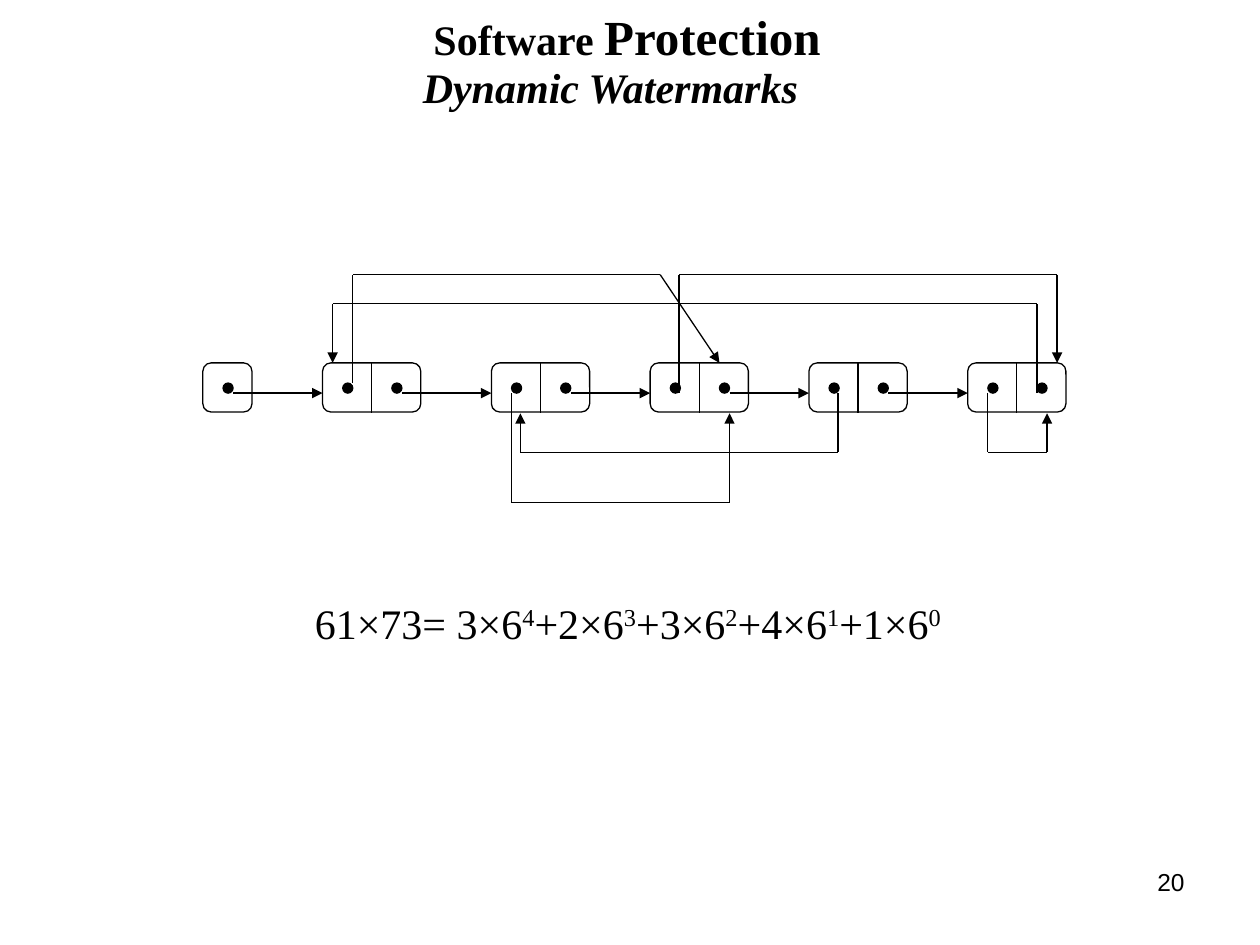
from dataclasses import dataclass
from itertools import pairwise

from lxml import etree
from pptx import Presentation
from pptx.dml.color import RGBColor
from pptx.enum.shapes import MSO_CONNECTOR, MSO_SHAPE
from pptx.enum.text import PP_ALIGN
from pptx.oxml.ns import qn
from pptx.util import Inches, Pt

STRAIGHT = MSO_CONNECTOR.STRAIGHT
ROUNDED = MSO_SHAPE.ROUNDED_RECTANGLE
OVAL = MSO_SHAPE.OVAL
LEFT, CENTER, RIGHT = PP_ALIGN.LEFT, PP_ALIGN.CENTER, PP_ALIGN.RIGHT

BLACK = "000000"
SERIF = "Times New Roman"
CELL = 0.39
DOT = 0.08
DOT_INSET = 0.16
NODE_TOP = 2.88
NODE_BOTTOM = 3.28
LINK_Y = 3.12
HEAD_LEFT = 1.61
NODE_LEFTS = [2.56] + [3.9 + 1.26 * step for step in range(4)]


@dataclass(frozen=True)
class Span:
    """A stretch of text with one format."""

    text: str
    size: float = 24
    font: str = SERIF
    bold: bool | None = None
    italic: bool | None = None
    raised: bool = False


@dataclass(frozen=True)
class Label:
    """A one-paragraph text box."""

    left: float
    top: float
    width: float
    height: float
    align: PP_ALIGN
    spans: tuple[Span, ...]
    space_before: float = 0


@dataclass(frozen=True)
class Route:
    """A chain of straight lines that ends in an arrowhead."""

    points: tuple[tuple[float, float], ...]


POWERS = [("61×73= 3×6", "4"), ("+2×6", "3"), ("+3×6", "2"), ("+4×6", "1"), ("+1×6", "0")]
FORMULA = tuple(
    span for base, power in POWERS for span in (Span(base), Span(power, raised=True))
)

LABELS = [
    Label(7.17, 6.83, 2.33, 0.52, RIGHT, (Span("20", 14, "Arial"),)),
    Label(2.56, 0, 4.75, 0.57, CENTER,
          (Span(" Software ", bold=True), Span("Protection", 28, bold=True)), 17.5),
    Label(3.03, 0.44, 3.63, 0.5, CENTER,
          (Span("Dynamic Watermarks", bold=True, italic=True),), 15),
    Label(2.4, 4.69, 6.14, 0.5, LEFT, FORMULA, 15),
]

POINTERS = [
    Route(((8.23, LINK_Y), (8.23, 2.41), (2.64, 2.41), (2.64, NODE_TOP))),
    Route(((7.84, LINK_Y), (7.84, 3.59), (8.31, 3.59), (8.31, NODE_BOTTOM))),
    Route(((6.65, LINK_Y), (6.65, 3.59), (4.13, 3.59), (4.13, NODE_BOTTOM))),
    Route(((5.39, LINK_Y), (5.39, 2.18), (8.39, 2.18), (8.39, NODE_TOP))),
    Route(((4.06, LINK_Y), (4.06, 3.99), (5.79, 3.99), (5.79, NODE_BOTTOM))),
    Route(((2.8, 3.04), (2.8, 2.18), (5.24, 2.18), (5.71, NODE_TOP))),
]


def color(value: str) -> RGBColor:
    """Turn a hex string into a colour."""
    return RGBColor.from_string(value)


def add_label(page, label: Label) -> None:
    """Add a text box run by run."""
    box = page.shapes.add_textbox(
        Inches(label.left), Inches(label.top), Inches(label.width), Inches(label.height)
    )
    box.text_frame.word_wrap = True
    para = box.text_frame.paragraphs[0]
    para.alignment = label.align
    para.space_before = Pt(label.space_before)
    for span in label.spans:
        run = para.add_run()
        run.text = span.text
        run.font.name = span.font
        run.font.size = Pt(span.size)
        run.font.bold = span.bold
        run.font.italic = span.italic
        run.font.color.rgb = color(BLACK)
        if span.raised:
            run.font._element.set("baseline", "30000")


def add_outline(page, kind: MSO_SHAPE, left: float, top: float, width: float, height: float):
    """Add an unfilled shape with a thin black line."""
    shape = page.shapes.add_shape(
        kind, Inches(left), Inches(top), Inches(width), Inches(height)
    )
    shape.shadow.inherit = False
    shape.fill.background()
    shape.line.color.rgb = color(BLACK)
    shape.line.width = Pt(0.75)
    return shape


def add_dot(page, left: float) -> None:
    """Add the black dot of one cell."""
    dot = add_outline(page, OVAL, left + DOT_INSET, 3.04, DOT, DOT)
    dot.fill.solid()
    dot.fill.fore_color.rgb = color(BLACK)


def add_node(page, left: float, cells: int) -> None:
    """Add a rounded node with a dot in each cell and dividers between cells."""
    frame = add_outline(page, ROUNDED, left, NODE_TOP, CELL * cells, CELL)
    frame.adjustments[0] = 0.17
    for cell in range(cells):
        cell_left = left + CELL * cell
        if cell:
            add_line(page, (cell_left, NODE_TOP), (cell_left, NODE_BOTTOM))
        add_dot(page, cell_left)


def add_line(page, start: tuple[float, float], end: tuple[float, float], arrow: bool = False) -> None:
    """Add a thin black line, with an arrowhead at its end if wanted."""
    line = page.shapes.add_connector(STRAIGHT, *map(Inches, start + end))
    line.line.color.rgb = color(BLACK)
    line.line.width = Pt(0.75)
    if arrow:
        etree.SubElement(line.line._get_or_add_ln(), qn("a:tailEnd"), type="triangle")
    etree.SubElement(line._element.spPr, qn("a:effectLst"))


def add_route(page, route: Route) -> None:
    """Add the lines of a route with an arrowhead on the last one."""
    for start, end in pairwise(route.points):
        add_line(page, start, end, arrow=end == route.points[-1])


def main() -> None:
    """Build the slide and save it."""
    deck = Presentation()
    deck.slide_width, deck.slide_height = Inches(10), Inches(7.5)
    page = deck.slides.add_slide(deck.slide_layouts[6])
    for label in LABELS:
        add_label(page, label)
    add_node(page, HEAD_LEFT, 1)
    for left in NODE_LEFTS:
        add_node(page, left, 2)
    exits = [HEAD_LEFT + 0.24] + [left + 0.63 for left in NODE_LEFTS]
    for start, end in zip(exits, NODE_LEFTS):
        add_route(page, Route(((start, LINK_Y), (end, LINK_Y))))
    for pointer in POINTERS:
        add_route(page, pointer)
    deck.save("out.pptx")


if __name__ == "__main__":
    main()
